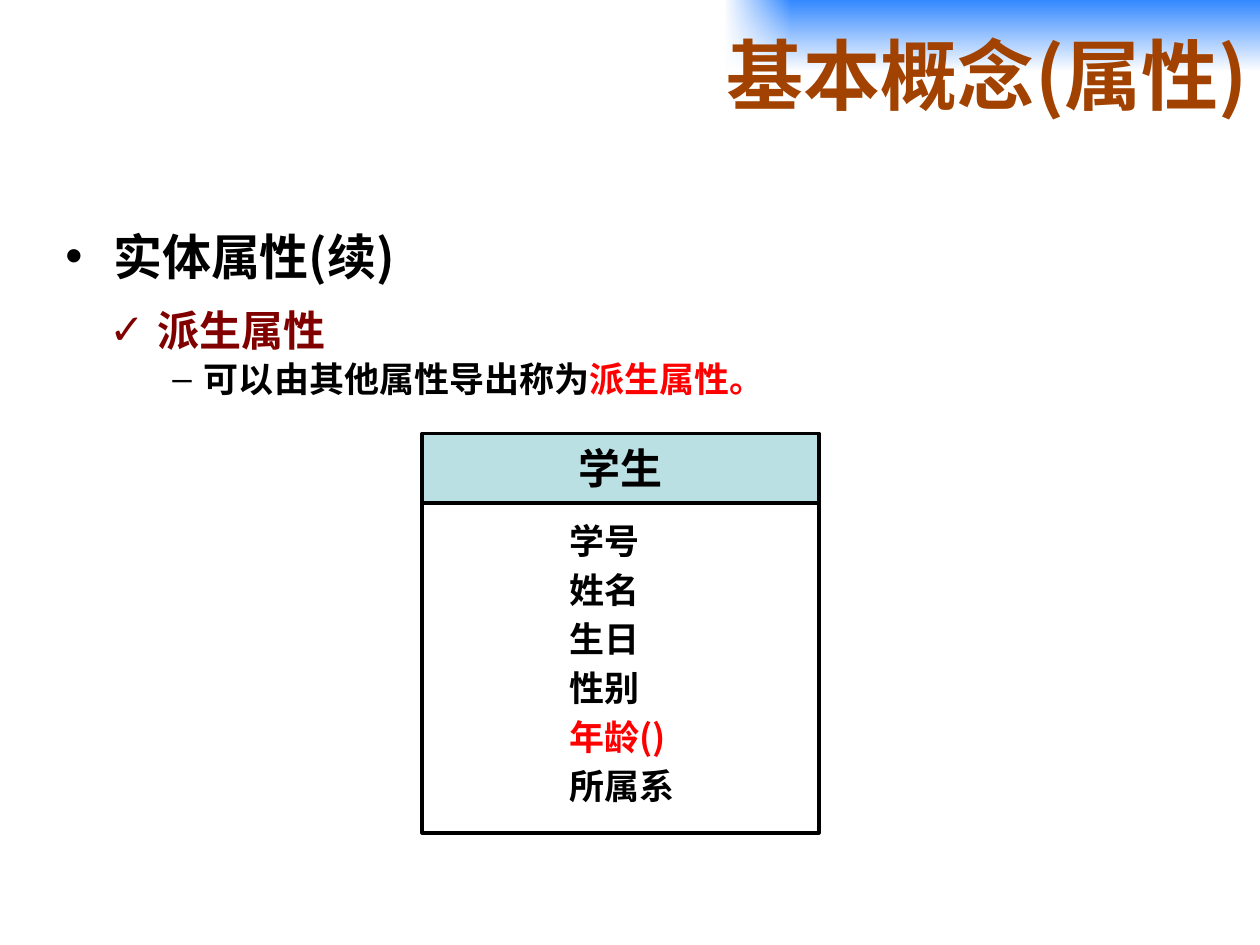
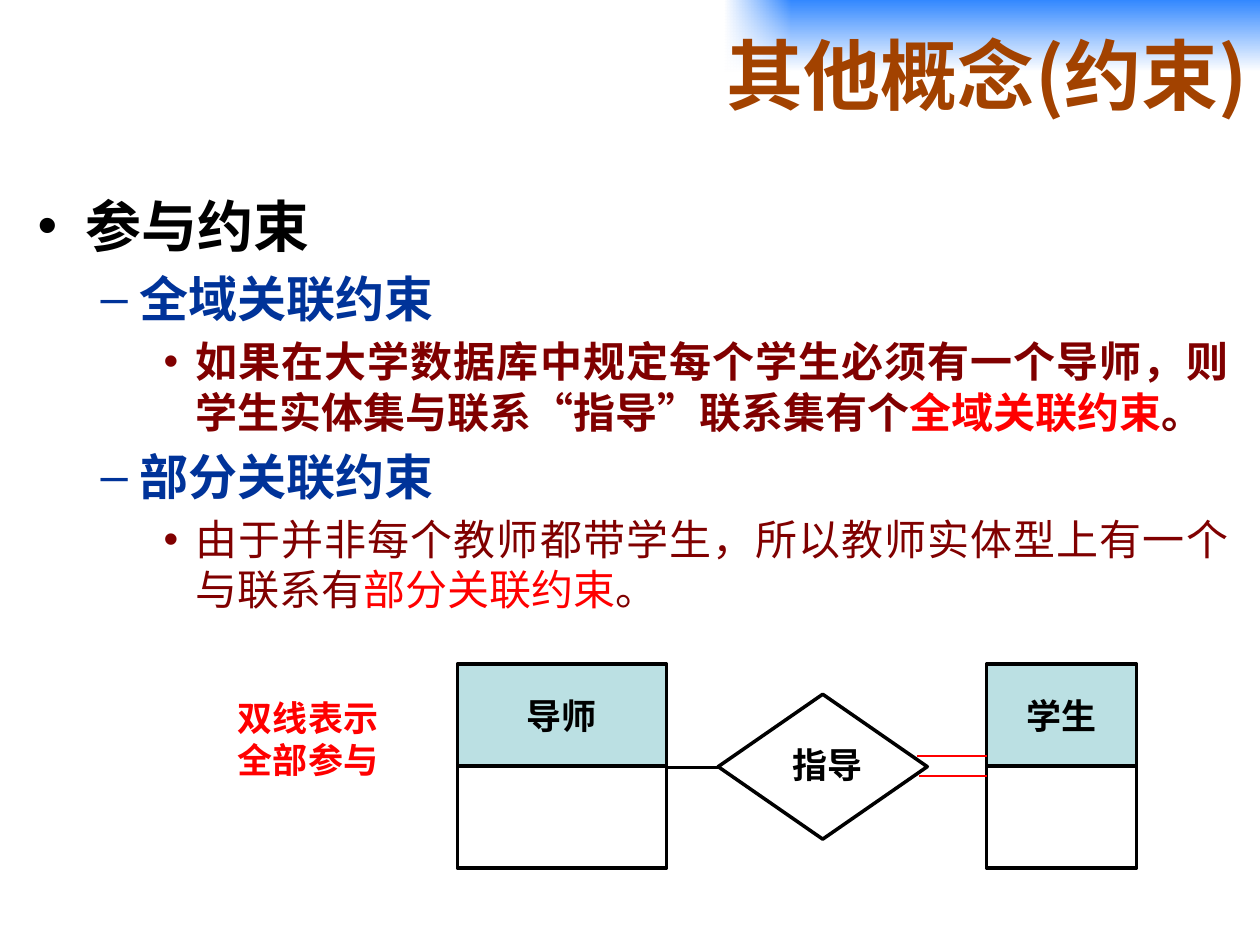
"""Build two lecture slides on entity attributes and participation constraints."""
from dataclasses import dataclass

from lxml import etree
from pptx import Presentation
from pptx import util as u
from pptx.dml.color import RGBColor
from pptx.enum import shapes, text
from pptx.oxml.ns import qn


@dataclass(frozen=True)
class Theme:
    body_font: str = "Noto Sans CJK JP"
    title_font: str = "Noto Sans CJK SC"
    bullet_font: str = "Arial"
    title: str = "A24200"
    black: str = "000000"
    white: str = "FFFFFF"
    red: str = "FF0000"
    maroon: str = "800000"
    navy: str = "003399"
    header: str = "BBE0E3"
    band: str = "3388FF"
    title_size: int = 44
    topic_size: int = 32
    heading_size: int = 28
    body_size: int = 24
    label_size: int = 20


@dataclass(frozen=True)
class Bullet:
    mark: str
    left: float
    hanging: float


@dataclass(frozen=True)
class Line:
    runs: tuple
    size: int
    bullet: Bullet = None
    bold: bool = True
    align: text.PP_ALIGN = text.PP_ALIGN.LEFT
    font: str = Theme.body_font
    spacing: float = None


THEME = Theme()
CENTER, RIGHT, JUSTIFY = text.PP_ALIGN.CENTER, text.PP_ALIGN.RIGHT, text.PP_ALIGN.JUSTIFY
TOPIC = Bullet("•", 0.38, 0.38)
CHECK = Bullet("✓", 0.88, 0.38)
DASH = Bullet("–", 0.81, 0.31)
DEEP_DASH = Bullet("–", 1.25, 0.25)
DEEP_DOT = Bullet("•", 1.25, 0.25)


class Deck:
    def __init__(self, theme):
        self.theme = theme
        self.presentation = Presentation()
        self.presentation.slide_width = u.Inches(10)
        self.presentation.slide_height = u.Inches(7.5)
        self.slide = None

    def start(self, title):
        theme = self.theme
        self.slide = self.presentation.slides.add_slide(self.presentation.slide_layouts[6])
        self.gradient(5.75, 0, 4.25, 0.57, 270, theme.band, theme.white)
        fade = self.gradient(5.75, 0, 0.52, 0.57, 0, theme.white, theme.white)
        last_color = list(fade._element.iter(qn("a:srgbClr")))[-1]
        etree.SubElement(last_color, qn("a:alpha"), val="0")
        heading = Line(((title, theme.title),), theme.title_size, align=RIGHT,
                       font=theme.title_font)
        self.textbox(1.46, 0, 8.54, 1.17, [heading], text.MSO_ANCHOR.MIDDLE)

    def gradient(self, left, top, width, height, angle, *colors):
        shape = self.shape(left, top, width, height, outlined=False)
        shape.fill.gradient()
        shape.fill.gradient_angle = angle
        for stop, color in zip(shape.fill.gradient_stops, colors):
            stop.color.rgb = RGBColor.from_string(color)
        return shape

    def shape(self, left, top, width, height, fill=None,
              kind=shapes.MSO_SHAPE.RECTANGLE, outlined=True):
        shape = self.slide.shapes.add_shape(kind, *map(u.Inches, (left, top, width, height)))
        shape.shadow.inherit = False
        if fill:
            shape.fill.solid()
            shape.fill.fore_color.rgb = RGBColor.from_string(fill)
        else:
            shape.fill.background()
        if outlined:
            shape.line.color.rgb = RGBColor.from_string(self.theme.black)
            shape.line.width = u.Pt(2)
        else:
            shape.line.fill.background()
        return shape

    def textbox(self, left, top, width, height, lines, anchor=text.MSO_ANCHOR.TOP):
        box = self.slide.shapes.add_textbox(*map(u.Inches, (left, top, width, height)))
        self.set_lines(box, lines, anchor)

    def set_lines(self, shape, lines, anchor):
        frame = shape.text_frame
        frame.word_wrap = True
        frame.vertical_anchor = anchor
        for index, line in enumerate(lines):
            paragraph = frame.paragraphs[0] if index == 0 else frame.add_paragraph()
            paragraph.alignment = line.align
            paragraph.space_before = u.Pt(0.2 * line.size if index else 0)
            if line.spacing:
                paragraph.line_spacing = line.spacing
            if line.bullet:
                self.bullet(paragraph, line.bullet)
            font = paragraph.font
            font.size, font.bold, font.name = u.Pt(line.size), line.bold, line.font
            etree.SubElement(font._element, qn("a:ea"), typeface=line.font)
            if len(line.runs) == 1:
                font.color.rgb = RGBColor.from_string(line.runs[0][1])
            for content, color in line.runs:
                run = paragraph.add_run()
                run.text = content
                if len(line.runs) > 1:
                    run.font.color.rgb = RGBColor.from_string(color)

    def bullet(self, paragraph, bullet):
        properties = paragraph._p.get_or_add_pPr()
        properties.set("marL", str(u.Inches(bullet.left)))
        properties.set("indent", str(-u.Inches(bullet.hanging)))
        etree.SubElement(properties, qn("a:buFont"), typeface=self.theme.bullet_font)
        etree.SubElement(properties, qn("a:buChar"), char=bullet.mark)

    def entity(self, name, left, top, width, header_height, body_height, size):
        header = self.shape(left, top, width, header_height, self.theme.header)
        label = Line(((name, self.theme.black),), size, align=CENTER)
        self.set_lines(header, [label], text.MSO_ANCHOR.MIDDLE)
        self.shape(left, top + header_height, width, body_height, self.theme.white)

    def connector(self, start, end, color):
        line = self.slide.shapes.add_connector(
            shapes.MSO_CONNECTOR.STRAIGHT, *map(u.Inches, start + end))
        line.line.color.rgb = RGBColor.from_string(color)
        line.line.width = u.Pt(1.5)
        etree.SubElement(line._element.spPr, qn("a:effectLst"))


def derived_attributes(deck):
    theme = deck.theme
    deck.start("基本概念(属性)")
    panel = deck.shape(0.27, 2.41, 9.55, 3.34, theme.white, outlined=False)
    deck.set_lines(panel, [
        Line((("派生属性", theme.maroon),), theme.body_size, CHECK, spacing=0.9),
        Line((("可以由其他属性导出称为", theme.black), ("派生属性。", theme.red)),
             theme.label_size, DEEP_DASH, spacing=0.9),
    ], text.MSO_ANCHOR.TOP)
    deck.textbox(0.42, 1.75, 8.91, 1.06, [
        Line((("实体属性(续)", theme.black),), theme.heading_size, TOPIC)])
    deck.entity("学生", 3.35, 3.44, 3.15, 0.55, 2.62, theme.body_size)
    derived = "年龄()"
    attributes = ("学号", "姓名", "生日", "性别", derived, "所属系")
    deck.textbox(4.42, 4.07, 1.2, 2.46, [
        Line(((name, theme.red if name == derived else theme.black),), theme.label_size)
        for name in attributes])


def participation_constraints(deck):
    theme = deck.theme
    deck.start("其他概念(约束)")
    constraints = (
        ("全域关联约束", True,
         "如果在大学数据库中规定每个学生必须有一个导师，则学生实体集与联系“指导”联系集有个"),
        ("部分关联约束", False,
         "由于并非每个教师都带学生，所以教师实体型上有一个与联系有"),
    )
    lines = [Line((("参与约束", theme.black),), theme.topic_size, TOPIC)]
    for name, bold, explanation in constraints:
        lines.append(Line(((name, theme.navy),), theme.heading_size, DASH, align=JUSTIFY))
        runs = ((explanation, theme.maroon), (name, theme.red), ("。", theme.maroon))
        lines.append(Line(runs, theme.body_size, DEEP_DOT, bold, JUSTIFY))
    deck.textbox(0.2, 1.47, 9.65, 3.71, lines)

    deck.shape(5.7, 5.51, 1.66, 1.15, kind=shapes.MSO_SHAPE.FLOWCHART_DECISION)
    deck.textbox(6.19, 5.85, 1.15, 0.8, [Line((("指导", theme.black),), theme.label_size)])
    for name, left, width in (("导师", 3.63, 1.66), ("学生", 7.83, 1.19)):
        deck.entity(name, left, 5.27, width, 0.81, 0.81, theme.label_size)
    deck.connector((5.7, 6.09), (5.29, 6.09), theme.black)
    for left, top in ((7.29, 6.16), (7.28, 6)):
        deck.connector((left, top), (7.83, top), theme.red)
    deck.textbox(1.79, 5.48, 1.48, 0.77, [
        Line((("双线表示全部参与", theme.red),), theme.label_size, font=theme.title_font)])


def main():
    deck = Deck(THEME)
    derived_attributes(deck)
    participation_constraints(deck)
    deck.presentation.save("out.pptx")


if __name__ == "__main__":
    main()
